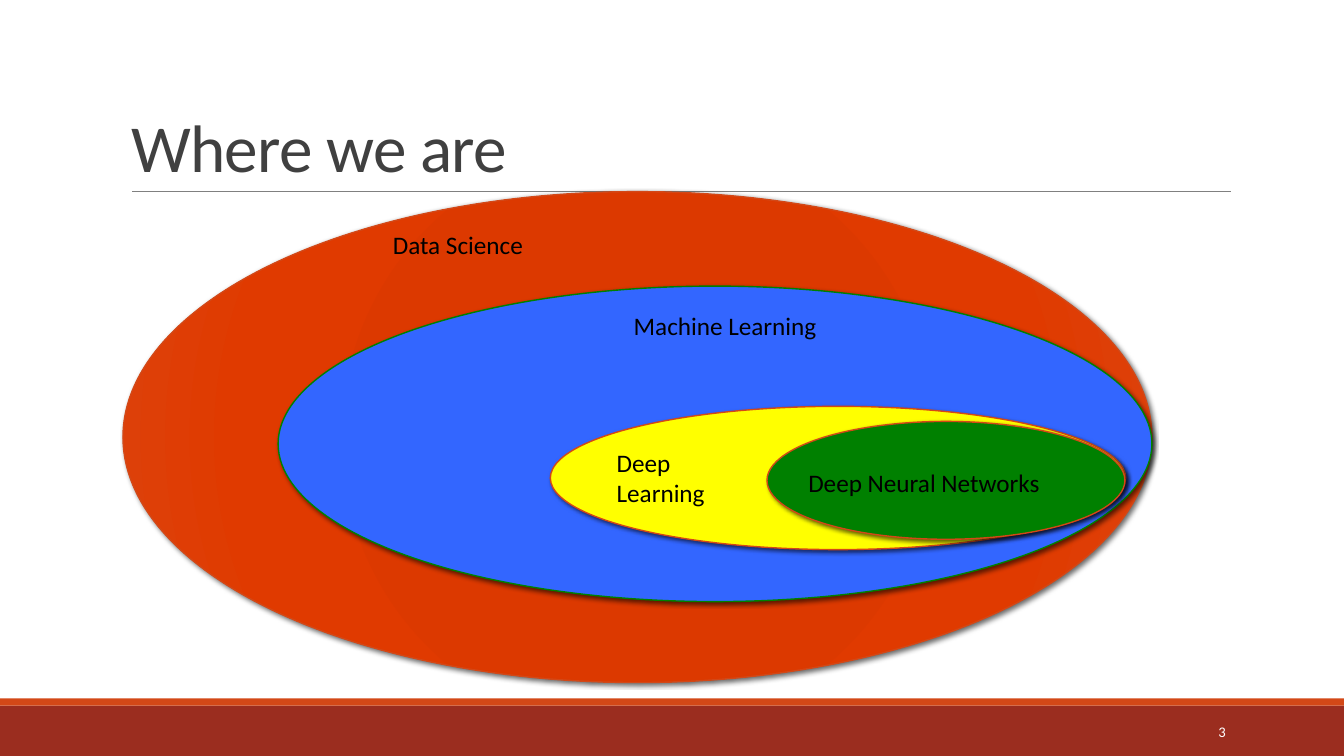
"""Build the slide that nests the fields of data science as ellipses."""
from lxml.etree import SubElement as Sub
from pptx import Presentation
from pptx.dml.color import RGBColor as Rgb
from pptx.enum.shapes import MSO_CONNECTOR as Conn, MSO_SHAPE as Kind
from pptx.enum.text import MSO_ANCHOR as Anchor, MSO_AUTO_SIZE as Fit, PP_ALIGN as Align
from pptx.oxml.ns import qn
from pptx.util import Cm, Pt

HUES = {
    "brick": "9B2D1F", "rust": "D34817", "rule": "808080", "title": "404040",
    "orange": "DC3900", "blue": "3366FF", "yellow": "FFFF00", "green": "008000",
    "black": "000000", "white": "FFFFFF",
}
TITLE = ("Where we are", (3.05, 0.79, 27.94, 4.04))
NUMBER = ("3", (27.51, 17.93, 3.63, 1.02))
BANDS = [("brick", (0, 17.78, 33.87, 1.27)), ("rust", (0, 17.6, 33.87, 0.18))]
RULE = (3.33, 4.83, 31.01, 4.83)
FIELDS = [
    ("Data Science", "orange", "rust", (3.1, 4.83, 25.93, 12.37), (9.65, 5.66, 10.85, 1.02)),
    ("Machine Learning", "blue", "green", (7.01, 7.21, 22.02, 7.95), (15.72, 7.7, 8.89, 1.02)),
    ("Deep\nLearning", "yellow", "rust", (13.87, 10.24, 14.5, 3.61), (15.29, 11.15, 8.13, 1.8)),
    ("Deep Neural Networks", "green", "rust", (19.33, 10.62, 9.02, 2.97), (20.12, 11.66, 7.39, 1.02)),
]
GLOW = [(0, "DA3900"), (34, "DC3900"), (70, "E03A00"), (100, "DC430E")]


def hue(name):
    return Rgb.from_string(HUES[name])


def write(box, text, size=18, color="black", align=Align.LEFT, anchor=Anchor.TOP, lead=None, track=None):
    frame = box.text_frame
    frame.text = text
    frame.word_wrap = True
    frame.auto_size = Fit.NONE
    frame.vertical_anchor = anchor
    for para in frame.paragraphs:
        para.alignment = align
        para.line_spacing = lead
        for run in para.runs:
            font = run.font
            font.name, font.size = "Calibri", Pt(size)
            font.color.rgb = hue(color)
            if track:
                run._r.get_or_add_rPr().set("spc", str(track))


def label(slide, text, area, **look):
    write(slide.shapes.add_textbox(*map(Cm, area)), text, **look)


def draw(slide, kind, area, fill, edge=None):
    shape = slide.shapes.add_shape(kind, *map(Cm, area))
    shape.shadow.inherit = False
    shape.fill.solid()
    shape.fill.fore_color.rgb = hue(fill)
    if edge:
        shape.line.color.rgb = hue(edge)
        shape.line.width = Pt(1)
    else:
        shape.line.fill.background()
    return shape


def tint(node, value):
    return Sub(node, qn("a:srgbClr"), val=value)


def shade(shape):
    effects = shape._element.spPr.find(qn("a:effectLst"))
    cast = Sub(effects, qn("a:outerShdw"), blurRad=str(Pt(3)), dist=str(Pt(2)), dir="2700000", rotWithShape="0")
    Sub(tint(cast, HUES["black"]), qn("a:alpha"), val="60000")


def blend(shape):
    shape.fill.gradient()
    grad = shape._element.spPr.find(qn("a:gradFill"))
    for part in list(grad):
        grad.remove(part)
    stops = Sub(grad, qn("a:gsLst"))
    for place, value in GLOW:
        tint(Sub(stops, qn("a:gs"), pos=str(place * 1000)), value)
    way = Sub(grad, qn("a:path"), path="circle")
    Sub(way, qn("a:fillToRect"), {side: "100000" for side in "ltrb"})


def main():
    deck = Presentation()
    deck.slide_width, deck.slide_height = Cm(33.87), Cm(19.05)
    slide = deck.slides.add_slide(deck.slide_layouts[5])

    for fill, area in BANDS:
        draw(slide, Kind.RECTANGLE, area, fill)
    rule = slide.shapes.add_connector(Conn.STRAIGHT, *map(Cm, RULE))
    rule.line.color.rgb = hue("rule")
    rule.line.width = Pt(0.5)
    Sub(rule._element.spPr, qn("a:effectLst"))

    text, area = TITLE
    title = slide.shapes.title
    title.left, title.top, title.width, title.height = map(Cm, area)
    write(title, text, size=48, color="title", anchor=Anchor.BOTTOM, lead=0.85, track=-50)
    text, area = NUMBER
    label(slide, text, area, size=10.5, color="white", align=Align.RIGHT, anchor=Anchor.MIDDLE)

    for text, fill, edge, area, spot in FIELDS:
        oval = draw(slide, Kind.OVAL, area, fill, edge)
        shade(oval)
        if fill == "orange":
            blend(oval)
        label(slide, text, spot)
    deck.save("out.pptx")


if __name__ == "__main__":
    main()
